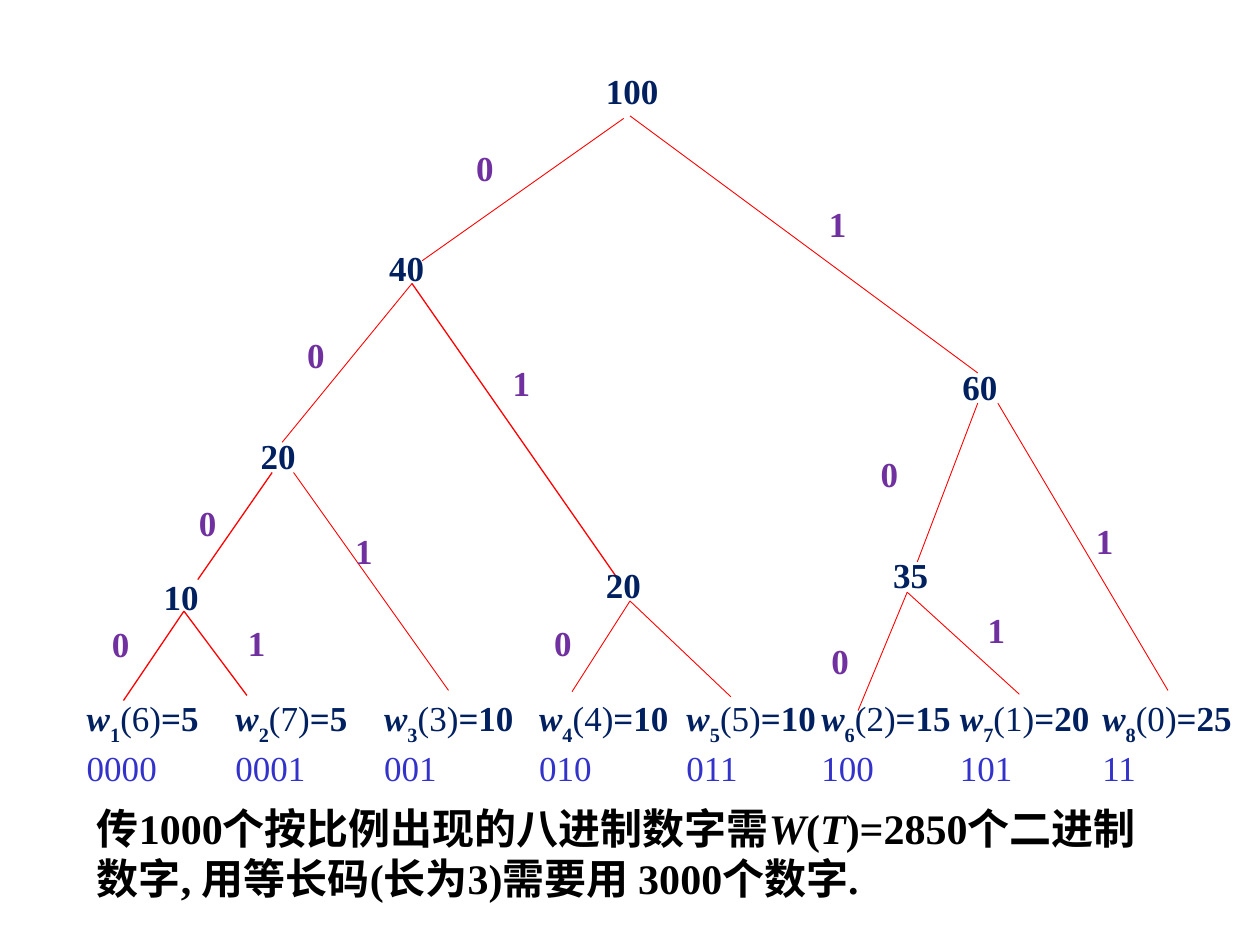
from lxml import etree
from pptx import Presentation
from pptx.dml.color import RGBColor
from pptx.enum.shapes import MSO_CONNECTOR
from pptx.enum.text import MSO_AUTO_SIZE
from pptx.oxml.ns import qn
from pptx.util import Inches, Pt

STRAIGHT = MSO_CONNECTOR.STRAIGHT
FIT_SHAPE = MSO_AUTO_SIZE.SHAPE_TO_FIT_TEXT
COLS, ROWS = 100, 75

# Node value, column, row, width
NODES = [
    ("100", 47.1, 5, 6.2), ("40", 29.9, 19.1, 4.8), ("60", 75.4, 28.5, 4.8),
    ("20", 19.7, 34, 4.8), ("35", 69.9, 43.4, 4.8), ("20", 47.1, 44.2, 4.8),
    ("10", 12, 45.2, 4.8),
]

# Child end, parent end, line width, bit, bit's column and row
BRANCHES = [
    ((9.8, 55.6), (14.6, 48.5), 0.75, "0", (7.9, 48.9)),
    ((19.6, 55.2), (14.6, 48.5), 0.75, "1", (18.7, 48.8)),
    ((15.7, 46), (21.6, 37.5), 0.75, "0", (14.8, 39.3)),
    ((35.6, 54.8), (23.3, 37.5), 0.5, "1", (27.2, 41.5)),
    ((45.4, 54.9), (50, 47.7), 0.5, "0", (43, 48.8)),
    ((58, 55.3), (50, 47.7), 0.5, None, None),
    ((68.1, 56.4), (72, 47), 0.5, "0", (65, 50.3)),
    ((80.9, 55.1), (72, 47), 0.5, "1", (77.4, 47.8)),
    ((22.4, 35.1), (32.7, 22.5), 0.5, "0", (23.4, 26)),
    ((49, 45.9), (32.7, 22.5), 0.75, "1", (39.7, 28.2)),
    ((72.8, 44.6), (77.6, 32), 0.5, "0", (68.9, 35.4)),
    ((92.7, 54.8), (79.2, 32), 0.5, "1", (86, 40.7)),
    ((33.5, 20.7), (49.5, 9.4), 0.5, "0", (36.8, 11.1)),
    ((77.6, 29.6), (50, 9.2), 0.5, "1", (64.8, 15.6)),
]

# Column, digit, weight, code
LEAVES = [
    (5.9, 6, 5, "0000"), (17.7, 7, 5, "0001"), (29.5, 3, 10, "001"),
    (41.8, 4, 10, "010"), (53.5, 5, 10, "011"), (64.2, 2, 15, "100"),
    (75.2, 1, 20, "101"), (86.5, 0, 25, "11"),
]


def rgb(value):
    return RGBColor.from_string(value)


class TreeSlide:
    FONT = "Times New Roman"
    NAVY, PURPLE, BLUE = "002060", "7030A0", "3333CC"
    RED, BLACK = "FF0000", "000000"

    def __init__(self, prs):
        self.s = prs.slides.add_slide(prs.slide_layouts[6])
        self.col = prs.slide_width / COLS
        self.row = prs.slide_height / ROWS

    def place(self, col, row):
        return round(col * self.col), round(row * self.row)

    def box(self, col, row, width, height, wrap=False):
        sp = self.s.shapes.add_textbox(*self.place(col, row), *self.place(width, height))
        tf = sp.text_frame
        tf.word_wrap = wrap
        tf.auto_size = FIT_SHAPE
        return tf

    def run(self, p, text, color, size=20, bold=True, italic=False, subscript=False):
        r = p.add_run()
        r.text = text
        font = r.font
        font.name, font.size = self.FONT, Pt(size)
        font.bold, font.italic = bold, italic
        font.color.rgb = rgb(color)
        if subscript:
            font._element.set("baseline", "-30000")

    def label(self, text, col, row, width, color):
        self.run(self.box(col, row, width, 4.4).paragraphs[0], text, color)

    def branch(self, child, parent, width):
        line = self.s.shapes.add_connector(STRAIGHT, *self.place(*child), *self.place(*parent))
        line.line.color.rgb = rgb(self.RED)
        line.line.width = Pt(width)
        etree.SubElement(line._element.spPr, qn("a:effectLst"))

    def leaf(self, number, col, digit, weight, code):
        tf = self.box(col, 54.8, 11 if weight < 10 else 12.4, 7.7)
        p = tf.paragraphs[0]
        self.run(p, "w", self.NAVY, italic=True)
        self.run(p, str(number), self.NAVY, subscript=True)
        self.run(p, f"({digit})", self.NAVY, bold=False)
        self.run(p, f"={weight}", self.NAVY)
        self.run(tf.add_paragraph(), code, self.BLUE, bold=False)

    def conclusion(self, parts):
        """Write (text, italic) parts as the paragraph below the tree."""
        p = self.box(6.7, 63.2, 85, 9.1, wrap=True).paragraphs[0]
        p.space_before = Pt(4.8)
        for text, italic in parts:
            self.run(p, text, self.BLACK, size=24, italic=italic)


def main():
    prs = Presentation()
    prs.slide_width, prs.slide_height = Inches(10), Inches(7.5)
    tree = TreeSlide(prs)

    for number, leaf in enumerate(LEAVES, 1):
        tree.leaf(number, *leaf)
    for child, parent, width, _, _ in BRANCHES:
        tree.branch(child, parent, width)
    for value, col, row, width in NODES:
        tree.label(value, col, row, width, tree.NAVY)
    for _, _, _, bit, spot in BRANCHES:
        if bit:
            tree.label(bit, *spot, 3.4, tree.PURPLE)
    tree.conclusion([
        ("传1000个按比例出现的八进制数字需", False),
        ("W", True),
        ("(", False),
        ("T", True),
        (")=2850个二进制数字, 用等长码(长为3)需要用 3000个数字.", False),
    ])
    prs.save("out.pptx")


if __name__ == "__main__":
    main()
